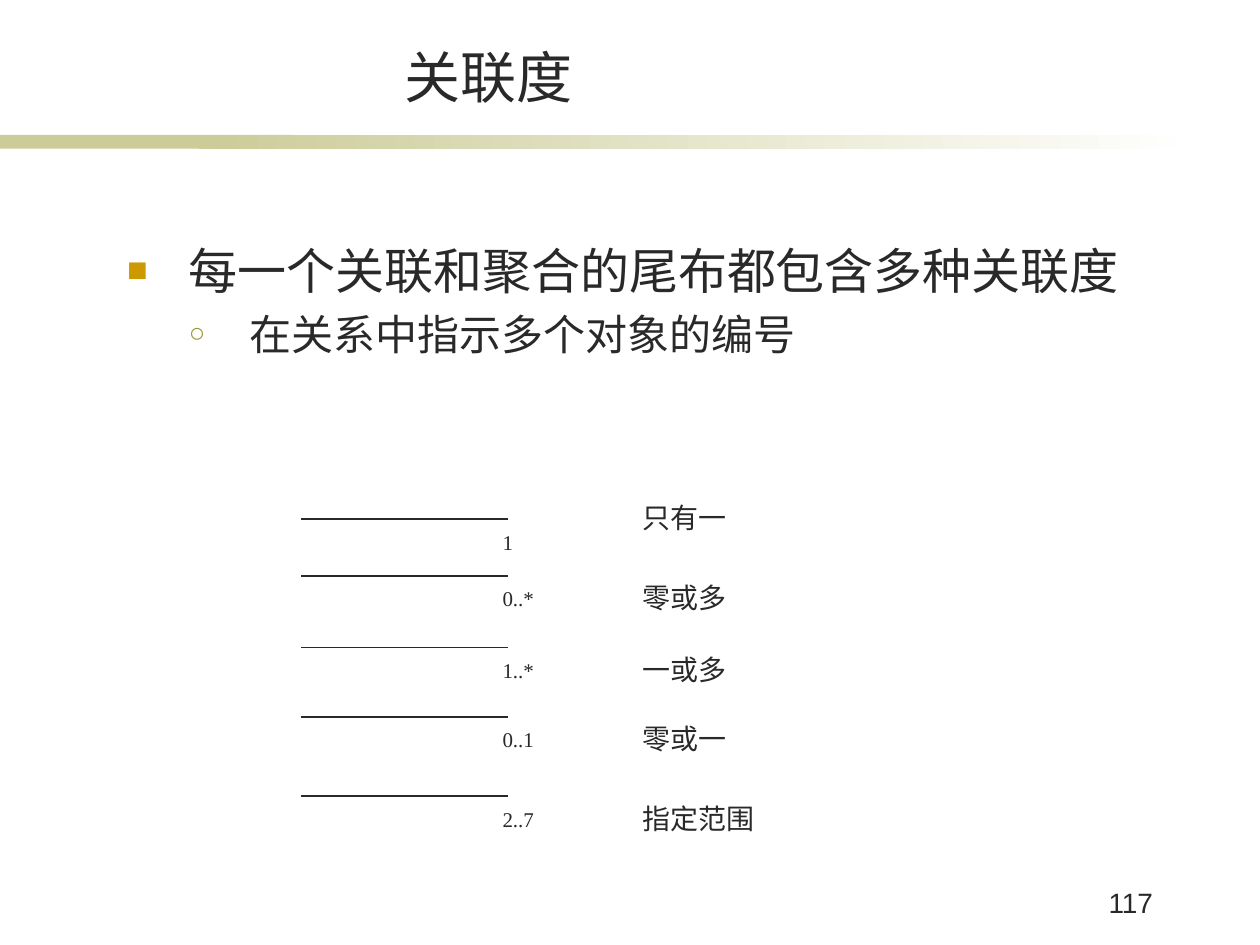
from typing import NamedTuple

from lxml.etree import SubElement as Sub
from pptx import Presentation
from pptx.dml.color import RGBColor as RGB
from pptx.enum.shapes import MSO_CONNECTOR as Conn, MSO_SHAPE as Shape
from pptx.enum.text import MSO_ANCHOR as Anchor, MSO_AUTO_SIZE as Auto, PP_ALIGN as Align
from pptx.oxml.ns import qn
from pptx.util import Inches, Pt

INK = RGB(0x29, 0x29, 0x29)
SAND = RGB(0xCC, 0xCC, 0x99)
WHITE = RGB(0xFF, 0xFF, 0xFF)
GOLD = RGB(0xCC, 0x99, 0x00)
OLIVE = RGB(0x99, 0x99, 0x33)
SANS = "Arial"
SERIF = "Times New Roman"


class Row(NamedTuple):
    top: float
    mark: str
    label: str
    rise: float = 0.01


class Point(NamedTuple):
    text: str
    size: int
    left: float
    hang: float
    sign: str
    hue: RGB
    scale: int
    gap: int


ROWS = [
    Row(4.12, "1", "只有一", 0.2),
    Row(4.57, "0..*", "零或多"),
    Row(5.14, "1..*", "一或多"),
    Row(5.69, "0..1", "零或一"),
    Row(6.32, "2..7", "指定范围"),
]
POINTS = [
    Point("每一个关联和聚合的尾布都包含多种关联度", 28, 0.49, 0.49, "■", GOLD, 70, 0),
    Point("在关系中指示多个对象的编号", 24, 0.97, 0.48, "○", OLIVE, 65, 5),
]


def style(para, size: int, face: str) -> None:
    form = {"size": Pt(size), "name": face, "bold": False}
    for key, value in form.items():
        setattr(para.font, key, value)
    para.font.color.rgb = INK


def add_text(shapes, box: tuple, text: str, size: int, face: str,
             align=Align.LEFT, wrap: bool = False) -> None:
    frame = shapes.add_textbox(*map(Inches, box)).text_frame
    frame.word_wrap = wrap
    frame.auto_size = Auto.NONE if wrap else Auto.SHAPE_TO_FIT_TEXT
    frame.text = text
    para = frame.paragraphs[0]
    para.alignment = align
    style(para, size, face)


def add_bar(shapes, left: float, width: float, fade: bool) -> None:
    bar = shapes.add_shape(Shape.RECTANGLE, *map(Inches, (left, 1.07, width, 0.11)))
    bar.shadow.inherit = False
    bar.line.fill.background()
    if fade:
        bar.fill.gradient()
        bar.fill.gradient_angle = 0
        for stop, hue, place in zip(bar.fill.gradient_stops, (SAND, WHITE), (0, 1)):
            stop.color.rgb = hue
            stop.position = place
    else:
        bar.fill.solid()
        bar.fill.fore_color.rgb = SAND


def add_title(slide) -> None:
    title = slide.shapes.title
    box = {"left": 1.14, "top": 0.29, "width": 6.14, "height": 0.63}
    for key, value in box.items():
        setattr(title, key, Inches(value))
    frame = title.text_frame
    frame.text = "关联度\t"
    form = {"auto_size": Auto.NONE, "vertical_anchor": Anchor.BOTTOM, "word_wrap": True}
    for key, value in form.items():
        setattr(frame, key, value)
    para = frame.paragraphs[0]
    para.alignment = Align.CENTER
    tabs = Sub(para._p.get_or_add_pPr(), qn("a:tabLst"))
    Sub(tabs, qn("a:tab"), pos=str(Inches(2)), algn="l")
    style(para, 32, SANS)


def add_points(shapes) -> None:
    frame = shapes.add_textbox(*map(Inches, (0.91, 1.86, 8.89, 2.06))).text_frame
    frame.word_wrap = True
    for level, item in enumerate(POINTS):
        para = frame.add_paragraph() if level else frame.paragraphs[0]
        para.text = item.text
        para.level = level
        props = para._p.get_or_add_pPr()
        props.set("marL", str(Inches(item.left)))
        props.set("indent", str(-Inches(item.hang)))
        Sub(Sub(props, qn("a:buClr")), qn("a:srgbClr"), val=str(item.hue))
        Sub(props, qn("a:buSzPct"), val=str(item.scale * 1000))
        Sub(props, qn("a:buFont"), typeface=SANS)
        Sub(props, qn("a:buChar"), char=item.sign)
        para.space_before = Pt(item.gap)
        style(para, item.size, SANS)


def add_row(shapes, row: Row) -> None:
    group = shapes.add_group_shape().shapes
    add_text(group, (5, row.top - row.rise, 0.22 * len(row.label) + 0.21, 0.37),
             row.label, 16, SERIF)
    ends = map(Inches, (2.39, row.top, 4.03, row.top))
    line = group.add_connector(Conn.STRAIGHT, *ends)
    line.line.color.rgb = INK
    line.line.width = Pt(1)
    Sub(line._element.spPr, qn("a:effectLst"))
    width = 0.29 if len(row.mark) == 1 else 0.46
    add_text(group, (3.89, row.top + 0.03, width, 0.3), row.mark, 12, SERIF)


def main() -> None:
    deck = Presentation()
    deck.slide_width = Inches(10)
    deck.slide_height = Inches(7.5)
    slide = deck.slides.add_slide(deck.slide_layouts[5])
    shapes = slide.shapes
    add_bar(shapes, 0, 2.33, False)
    add_bar(shapes, 1.58, 7.92, True)
    add_title(slide)
    add_points(shapes)
    add_text(shapes, (8.23, 6.98, 1.02, 0.39), "117", 16, SANS, Align.RIGHT, True)
    for row in ROWS:
        add_row(shapes, row)
    deck.save("out.pptx")


if __name__ == "__main__":
    main()
